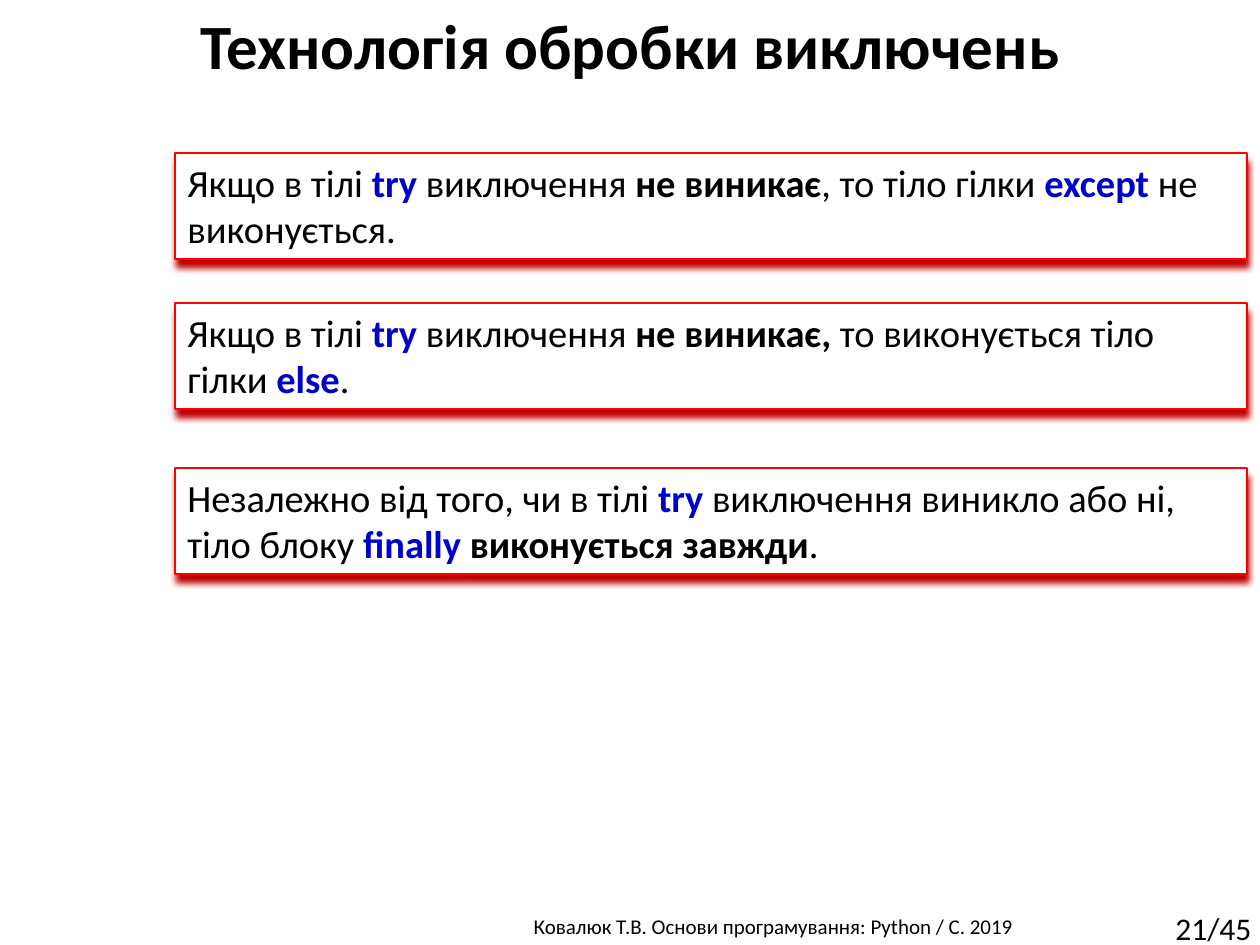
from lxml import etree
from pptx import Presentation
from pptx import util as u
from pptx.dml.color import RGBColor
from pptx.enum import shapes, text
from pptx.oxml import ns

PX_PER_INCH = 126
FONT = "Calibri"
BLACK, BLUE, RED, DARK_RED, WHITE = "000000", "0000CC", "FF0000", "C00000", "FFFFFF"
PLAIN, BOLD, KEYWORD = (BLACK, False), (BLACK, True), (BLUE, True)

RULES = [
    (153, [("Якщо в тілі ", PLAIN), ("try ", KEYWORD), ("виключення ", PLAIN),
           ("не виникає", BOLD), (", то тіло гілки ", PLAIN),
           ("except ", KEYWORD), ("не виконується.", PLAIN)]),
    (303, [("Якщо в тілі ", PLAIN), ("try ", KEYWORD), ("виключення ", PLAIN),
           ("не виникає, ", BOLD), ("то виконується тіло гілки ", PLAIN),
           ("else", KEYWORD), (".", PLAIN)]),
    (468, [("Незалежно від того, чи в тілі ", PLAIN), ("try ", KEYWORD),
           ("виключення виникло або ні, тіло блоку ", PLAIN),
           ("finally ", KEYWORD), ("виконується завжди", BOLD), (".", PLAIN)]),
]


def px(length):
    return u.Inches(length / PX_PER_INCH)


def color(value):
    return RGBColor.from_string(value)


def add_label(slide, box, words, size, bold=False, align=text.PP_ALIGN.CENTER, wrap=True):
    shape = slide.shapes.add_textbox(*map(px, box))
    shape.text_frame.word_wrap = wrap
    paragraph = shape.text_frame.paragraphs[0]
    paragraph.text = words
    paragraph.alignment = align
    paragraph.font.name = FONT
    paragraph.font.size = u.Pt(size)
    paragraph.font.bold = bold
    paragraph.font.color.rgb = color(BLACK)


def add_shadow(shape, value, blur, distance, angle):
    shape.shadow.inherit = False
    effects = shape._element.spPr.find(ns.qn("a:effectLst"))
    shadow = etree.SubElement(
        effects, ns.qn("a:outerShdw"), blurRad=str(u.Pt(blur)), dist=str(u.Pt(distance)),
        dir=str(angle * 60000), algn="t", rotWithShape="0")
    etree.SubElement(shadow, ns.qn("a:srgbClr"), val=value)


def add_rule(slide, box, parts):
    shape = slide.shapes.add_shape(shapes.MSO_SHAPE.RECTANGLE, *map(px, box))
    shape.fill.solid()
    shape.fill.fore_color.rgb = color(WHITE)
    shape.line.color.rgb = color(RED)
    shape.line.width = u.Pt(0.75)
    add_shadow(shape, DARK_RED, 4, 4, 90)
    frame = shape.text_frame
    frame.word_wrap = True
    frame.vertical_anchor = text.MSO_ANCHOR.TOP
    paragraph = frame.paragraphs[0]
    paragraph.alignment = text.PP_ALIGN.LEFT
    paragraph.font.name = FONT
    paragraph.font.size = u.Pt(22)
    for words, (value, bold) in parts:
        run = paragraph.add_run()
        run.text = words
        run.font.bold = bold
        run.font.color.rgb = color(value)


def add_footer(slide, left, top):
    add_label(slide, (left, top + 4, 717, 38),
              "Ковалюк Т.В. Основи програмування: Python / C. 2019", 12)
    add_label(slide, (left + 748, top, 107, 50), "21/45", 18,
              align=text.PP_ALIGN.LEFT, wrap=False)


def main():
    presentation = Presentation()
    presentation.slide_width, presentation.slide_height = px(1260), px(945)
    slide = presentation.slides.add_slide(presentation.slide_layouts[6])
    add_footer(slide, 415, 903)
    add_label(slide, (0, 0, 1260, 89), "Технологія обробки виключень", 36, bold=True)
    for top, parts in RULES:
        add_rule(slide, (175, top, 1072, 106), parts)
    presentation.save("out.pptx")


if __name__ == "__main__":
    main()
